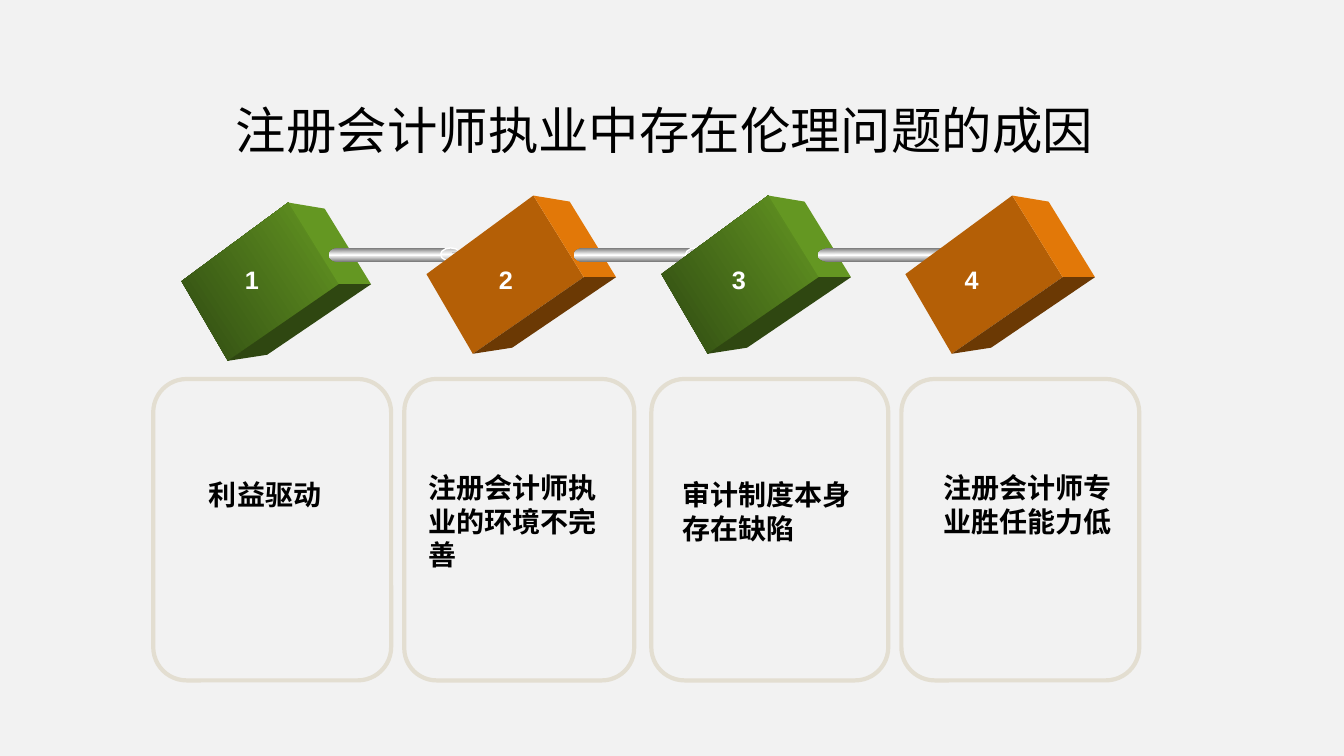
"""Build the slide on the causes of ethical problems among accountants."""
from dataclasses import dataclass

from lxml import etree
from pptx import Presentation
from pptx import util as u
from pptx.dml.color import RGBColor
from pptx.enum import shapes, text
from pptx.oxml.ns import qn


@dataclass(frozen=True)
class Theme:
    back: str = "F2F2F2"
    ink: str = "000000"
    light: str = "FFFFFF"
    card: str = "E3DED1"
    steel: tuple = ("767676", "FFFFFF", "767676")
    tip: tuple = ("B6B6B6", "FFFFFF", "B6B6B6")
    green: tuple = (("2F4A12", "659822"), ("649722",), ("2F4711",))
    orange: tuple = (("B45F06",), ("E27808",), ("6B3904",))
    latin: str = "Arial"
    asian: str = "Noto Sans CJK SC"
    title: int = 36
    number: int = 18
    body: int = 20


FACES = (
    ((0, 0), (106, -78), (156, 3), (46, 79)),
    ((106, -78), (142, -72), (188, 3), (156, 3)),
    ((46, 79), (156, 3), (188, 3), (85, 73)),
)
LEFT, CENTER = text.PP_ALIGN.LEFT, text.PP_ALIGN.CENTER
CARDS = ((1.52, 2.36), (4.01, 2.28), (6.46, 2.35), (8.94, 2.36))
BLOCKS = ((1.8, 2.79), (4.23, 2.72), (6.56, 2.72), (8.98, 2.72))
RODS = ((3.26, 1), (5.69, 1), (8.11, 1.31))
NUMBERS = (2.33, 4.85, 7.16, 9.47)
CAUSES = (
    ("利益驱动", 4.69, CENTER),
    ("注册会计师执业的环境不完善", 4.62, LEFT),
    ("审计制度本身存在缺陷", 4.69, LEFT),
    ("注册会计师专业胜任能力低", 4.62, CENTER),
)


class Painter:
    def __init__(self, page, theme):
        self.page, self.theme = page, theme
        page.background.fill.solid()
        page.background.fill.fore_color.rgb = RGBColor.from_string(theme.back)

    def paint(self, shape, colors, angle=90):
        shape.shadow.inherit = False
        shape.line.fill.background()
        if len(colors) == 1:
            shape.fill.solid()
            shape.fill.fore_color.rgb = RGBColor.from_string(colors[0])
            return
        shape.fill.gradient()
        shape.fill.gradient_angle = angle
        stops = shape._element.spPr.find(qn("a:gradFill")).find(qn("a:gsLst"))
        for stop in list(stops):
            stops.remove(stop)
        for index, color in enumerate(colors):
            place = str(index * 100000 // (len(colors) - 1))
            stop = etree.SubElement(stops, qn("a:gs"), pos=place)
            etree.SubElement(stop, qn("a:srgbClr"), val=color)

    def outline(self, shape, color, width):
        shape.line.color.rgb = RGBColor.from_string(color)
        shape.line.width = u.Pt(width)

    def shape(self, kind, *place):
        return self.page.shapes.add_shape(kind, *map(u.Inches, place))

    def wording(self, box, words, color, align=LEFT, **style):
        para = box.text_frame.paragraphs[0]
        para.alignment = align
        span = para.add_run()
        span.text = words
        for name, value in style.items():
            setattr(span.font, name, value)
        span.font.color.rgb = RGBColor.from_string(color)
        etree.SubElement(span._r.get_or_add_rPr(), qn("a:ea"), typeface=self.theme.asian)

    def title(self, words):
        box = self.page.shapes.title
        place = {"left": 0.59, "top": 0.76, "width": 12, "height": 0.87}
        for name, value in place.items():
            setattr(box, name, u.Inches(value))
        box.text_frame.vertical_anchor = text.MSO_ANCHOR.BOTTOM
        self.wording(box, words, self.theme.ink, CENTER,
                     name=self.theme.asian, size=u.Pt(self.theme.title))

    def label(self, words, place, color, size, align=LEFT):
        box = self.page.shapes.add_textbox(*map(u.Inches, place))
        box.text_frame.word_wrap = True
        self.wording(box, words, color, align,
                     name=self.theme.latin, size=u.Pt(size), bold=True)

    def card(self, left, width):
        card = self.shape(shapes.MSO_SHAPE.ROUNDED_RECTANGLE, left, 3.76, width, 2.99)
        card.adjustments[0] = 0.14
        card.shadow.inherit = False
        card.fill.background()
        self.outline(card, self.theme.card, 3)

    def block(self, left, top, colors):
        for points, shades in zip(FACES, colors):
            builder = self.page.shapes.build_freeform(*points[0], scale=u.Inches(0.01))
            builder.add_line_segments(points[1:])
            face = builder.convert_to_shape(u.Inches(left), u.Inches(top))
            self.paint(face, shades, 33)

    def rod(self, left, scale):
        oval, bar = shapes.MSO_SHAPE.OVAL, shapes.MSO_SHAPE.RECTANGLE
        steel, tip = self.theme.steel, self.theme.tip
        parts = (
            (oval, 0, 2.46, 0.22, 0.14, steel),
            (bar, 0.13, 2.46, 1.09, 0.14, steel),
            (oval, 1.11, 2.46, 0.2, 0.13, tip),
            (oval, 1.22, 2.5, 0.06, 0.04, tip),
        )
        for kind, offset, top, width, height, colors in parts:
            part = self.shape(kind, left + offset * scale, top, width * scale, height)
            self.paint(part, colors)
            if colors == tip and height > 0.1:
                self.outline(part, self.theme.light, 1)


def main():
    deck = Presentation()
    deck.slide_width, deck.slide_height = u.Inches(13.33), u.Inches(7.5)
    theme = Theme()
    painter = Painter(deck.slides.add_slide(deck.slide_layouts[5]), theme)
    painter.title("注册会计师执业中存在伦理问题的成因")
    for card in CARDS:
        painter.card(*card)
    for index, block in enumerate(BLOCKS):
        painter.block(*block, theme.orange if index % 2 else theme.green)
        if index < len(RODS):
            painter.rod(*RODS[index])
    for index, left in enumerate(NUMBERS):
        painter.label(str(index + 1), (left, 2.57, 0.34, 0.4), theme.light, theme.number)
    for index, (words, top, align) in enumerate(CAUSES):
        place = (1.63 + 2.52 * index, top, 2, 1.11)
        painter.label(words, place, theme.ink, theme.body, align)
    deck.save("out.pptx")


if __name__ == "__main__":
    main()
